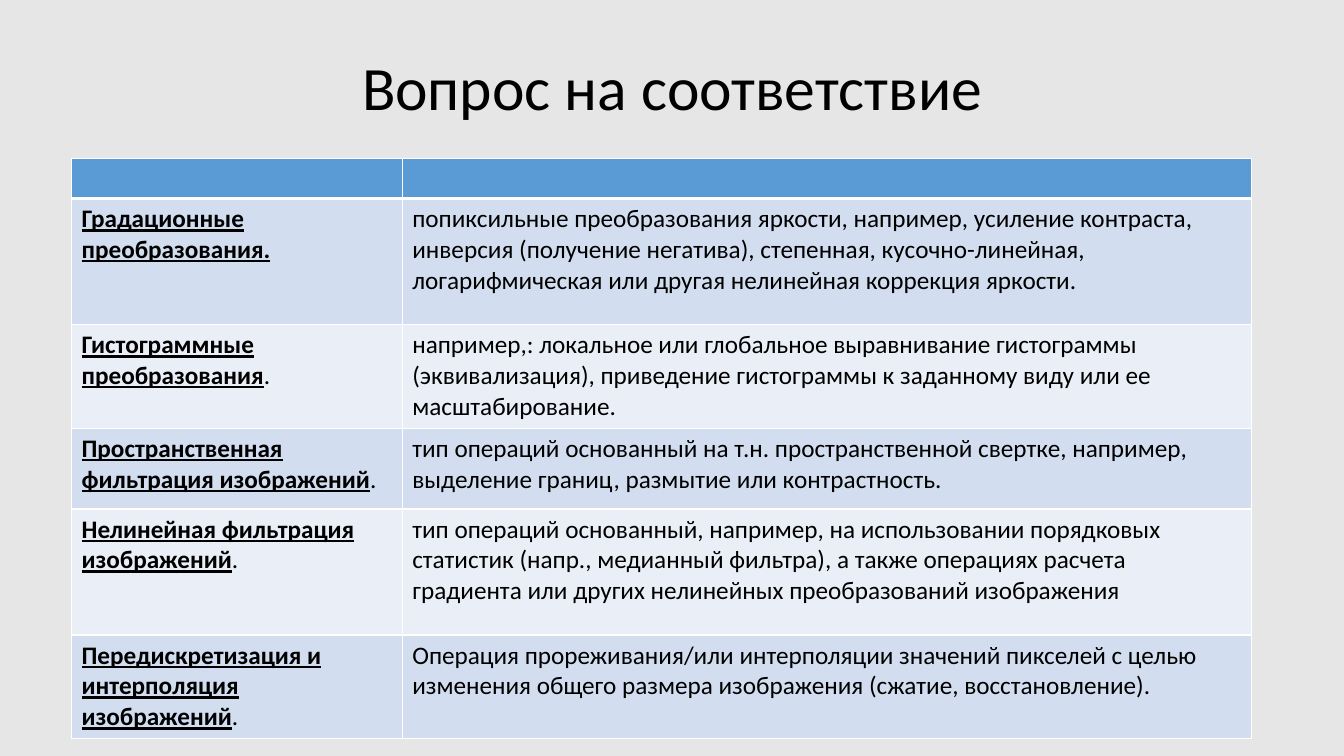
from pptx import Presentation
from pptx.dml.color import RGBColor
from pptx.enum.text import MSO_ANCHOR, PP_ALIGN
from pptx.oxml import parse_xml
from pptx.oxml.ns import nsdecls
from pptx.util import Inches, Pt

CENTER, LEFT, MIDDLE = PP_ALIGN.CENTER, PP_ALIGN.LEFT, MSO_ANCHOR.MIDDLE
FONT = "Calibri"
BACKGROUND, BLACK, WHITE = "E7E6E6", "000000", "FFFFFF"
HEADER, BANDS = "5B9BD5", ("D2DEEF", "EAEFF7")

COL_WIDTHS = (3.28, 8.42)
ROW_HEIGHTS = (0.4, 1.25, 1.03, 0.8, 1.25, 1.03)

# Term, its closing plain text, definition
TERMS = [
    ("Градационные преобразования.", "",
     "попиксильные преобразования яркости, например, усиление контраста, "
     "инверсия (получение негатива), степенная, кусочно-линейная, "
     "логарифмическая или другая нелинейная коррекция яркости."),
    ("Гистограммные преобразования", ".",
     "например,: локальное или глобальное выравнивание гистограммы "
     "(эквивализация), приведение гистограммы к заданному виду или ее "
     "масштабирование."),
    ("Пространственная фильтрация изображений", ".",
     "тип операций основанный на т.н. пространственной свертке, например, "
     "выделение границ, размытие или контрастность."),
    ("Нелинейная фильтрация изображений", ".",
     "тип операций основанный, например, на использовании порядковых "
     "статистик (напр., медианный фильтра), а также операциях расчета "
     "градиента или других нелинейных преобразований изображения"),
    ("Передискретизация и интерполяция изображений", ".",
     "Операция прореживания/или интерполяции значений пикселей с целью "
     "изменения общего размера изображения (сжатие, восстановление)."),
]


def rgb(value):
    return RGBColor.from_string(value)


def add_run(p, text, size, strong=False):
    r = p.add_run()
    r.text = text
    r.font.name, r.font.size = FONT, Pt(size)
    r.font.bold = r.font.underline = strong
    r.font.color.rgb = rgb(BLACK)


def add_title(s, text):
    sp = s.shapes.add_textbox(Inches(0.92), Inches(0.4), Inches(11.5), Inches(0.99))
    tf = sp.text_frame
    tf.word_wrap, tf.vertical_anchor = True, MIDDLE
    p = tf.paragraphs[0]
    p.alignment, p.line_spacing = CENTER, 0.9
    add_run(p, text, 44)


def style_cell(cell, fill, top=1, bottom=1):
    cell.fill.solid()
    cell.fill.fore_color.rgb = rgb(fill)
    # Borders come before the fill in the cell properties
    tc_pr = cell._tc.get_or_add_tcPr()
    sides = (("lnL", 1), ("lnR", 1), ("lnT", top), ("lnB", bottom))
    for i, (side, width) in enumerate(sides):
        tc_pr.insert(i, parse_xml(
            f'<a:{side} {nsdecls("a")} w="{Pt(width)}"><a:solidFill>'
            f'<a:srgbClr val="{WHITE}"/></a:solidFill></a:{side}>'))


def fill_cell(cell, runs):
    p = cell.text_frame.paragraphs[0]
    p.alignment = LEFT
    for text, strong in runs:
        if text:
            add_run(p, text, 18, strong)


def add_terms_table(s):
    table = s.shapes.add_table(
        len(ROW_HEIGHTS), len(COL_WIDTHS), Inches(0.71), Inches(1.57),
        Inches(sum(COL_WIDTHS)), Inches(sum(ROW_HEIGHTS))).table
    for col, width in zip(table.columns, COL_WIDTHS):
        col.width = Inches(width)
    for row, height in zip(table.rows, ROW_HEIGHTS):
        row.height = Inches(height)

    # Empty header row with a thick lower edge
    for cell in table.rows[0].cells:
        style_cell(cell, HEADER, bottom=3)

    # Banded rows of terms
    for i, (term, ending, definition) in enumerate(TERMS):
        cells = table.rows[i + 1].cells
        for cell in cells:
            style_cell(cell, BANDS[i % 2], top=1 if i else 3)
        fill_cell(cells[0], [(term, True), (ending, False)])
        fill_cell(cells[1], [(definition, False)])


def main():
    prs = Presentation()
    prs.slide_width, prs.slide_height = Inches(13.33), Inches(7.5)
    s = prs.slides.add_slide(prs.slide_layouts[6])
    s.background.fill.solid()
    s.background.fill.fore_color.rgb = rgb(BACKGROUND)
    add_title(s, "Вопрос на соответствие")
    add_terms_table(s)
    prs.save("out.pptx")


if __name__ == "__main__":
    main()
